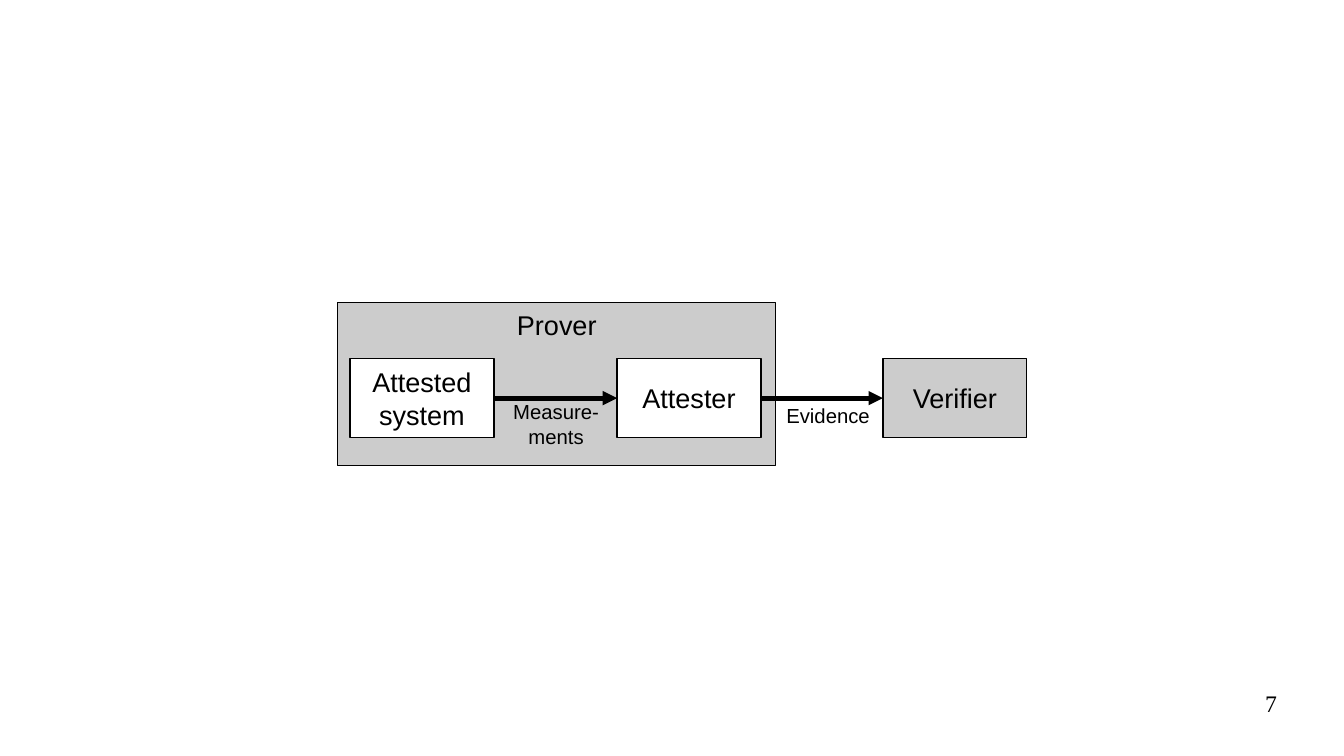
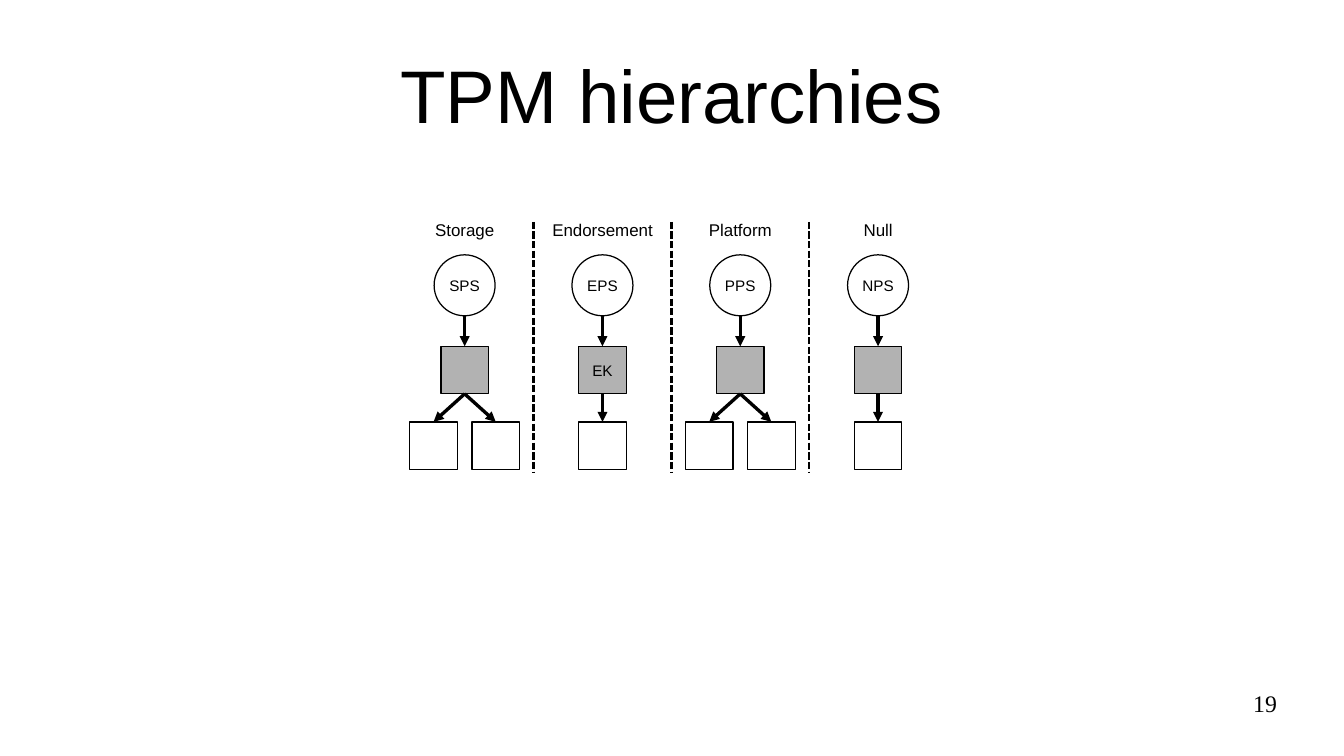
from lxml import etree
from pptx import Presentation
from pptx.dml.color import RGBColor
from pptx.enum import dml, shapes, text
from pptx.oxml import ns
from pptx.util import Inches, Pt

BLACK = RGBColor(0x00, 0x00, 0x00)
WHITE = RGBColor(0xFF, 0xFF, 0xFF)
LIGHT_GREY = RGBColor(0xCC, 0xCC, 0xCC)
KEY_GREY = RGBColor(0xB2, 0xB2, 0xB2)
RECTANGLE = shapes.MSO_SHAPE.RECTANGLE
OVAL = shapes.MSO_SHAPE.OVAL
TOP, LEFT, BOTTOM, RIGHT = range(4)


def add_box(slide, geometry, bounds, lines=(), size=16, fill=None,
            anchor=text.MSO_ANCHOR.MIDDLE, wrap=False):
    """Add an outlined shape, or a plain text box when geometry is None."""
    bounds = [Inches(length) for length in bounds]
    if geometry is None:
        shape = slide.shapes.add_textbox(*bounds)
    else:
        shape = slide.shapes.add_shape(geometry, *bounds)
        shape.shadow.inherit = False
        shape.line.color.rgb = BLACK
        shape.line.width = Pt(0)
        if fill is None:
            shape.fill.background()
        else:
            shape.fill.solid()
            shape.fill.fore_color.rgb = fill
    frame = shape.text_frame
    frame.word_wrap = wrap
    frame.vertical_anchor = anchor
    frame.text = "\n".join(lines)
    for paragraph in frame.paragraphs:
        paragraph.alignment = text.PP_ALIGN.CENTER
        paragraph.font.name = "Arial"
        paragraph.font.size = Pt(size)
        paragraph.font.color.rgb = BLACK
    return shape


def add_line(slide, begin, end, width, arrow=True):
    """Add a straight line from begin to end, each an (x, y) in inches."""
    line = slide.shapes.add_connector(
        shapes.MSO_CONNECTOR.STRAIGHT, *[Inches(length) for length in (*begin, *end)])
    line.line.color.rgb = BLACK
    line.line.width = Pt(width)
    properties = line.element.spPr
    if arrow:
        outline = properties.find(ns.qn("a:ln"))
        etree.SubElement(outline, ns.qn("a:tailEnd"), type="triangle")
    etree.SubElement(properties, ns.qn("a:effectLst"))
    return line


presentation = Presentation()
presentation.slide_width = Inches(11.02)
presentation.slide_height = Inches(6.2)
title_only, blank = presentation.slide_layouts[5], presentation.slide_layouts[6]
attestation = presentation.slides.add_slide(blank)
hierarchies = presentation.slides.add_slide(title_only)

# Attestation flow: the prover holds the attested system and the attester
BOX_TOP, BOX_WIDTH, BOX_HEIGHT = 2.94, 1.18, 0.65
add_box(attestation, RECTANGLE, (2.77, 2.48, 3.59, 1.34), ["Prover"],
        fill=LIGHT_GREY, anchor=text.MSO_ANCHOR.TOP)
actors = []
for left, lines, fill in (
    (2.87, ["Attested", "system"], WHITE),
    (5.06, ["Attester"], WHITE),
    (7.24, ["Verifier"], LIGHT_GREY),
):
    actors.append(add_box(attestation, RECTANGLE, (left, BOX_TOP, BOX_WIDTH, BOX_HEIGHT),
                          lines, fill=fill))
for sender, receiver in zip(actors, actors[1:]):
    arrow = add_line(attestation, (0, 0), (0, 0), 2.83)
    arrow.begin_connect(sender, RIGHT)
    arrow.end_connect(receiver, LEFT)
add_box(attestation, None, (3.99, 3.24, 1.14, 0.47), ["Measure-", "ments"], size=12)
add_box(attestation, None, (6.22, 3.24, 1.14, 0.34), ["Evidence"], size=12)

# Hierarchies title
title = hierarchies.shapes.title
title.left, title.top = Inches(0.55), Inches(0.25)
title.width, title.height = Inches(9.92), Inches(1.04)
frame = title.text_frame
frame.text = "TPM hierarchies"
frame.auto_size = text.MSO_AUTO_SIZE.NONE
frame.vertical_anchor = text.MSO_ANCHOR.MIDDLE
frame.margin_left = frame.margin_right = frame.margin_top = frame.margin_bottom = 0
paragraph = frame.paragraphs[0]
paragraph.alignment = text.PP_ALIGN.CENTER
paragraph.font.name = "Arial"
paragraph.font.size = Pt(44)
paragraph.font.color.rgb = BLACK

# Hierarchy columns: seed, primary key, child keys
FIRST_CENTER, PITCH = 3.81, 1.13
SEED_TOP, SEED_SIZE = 2.09, 0.5
PRIMARY_TOP, CHILD_TOP, KEY_SIZE = 2.84, 3.46, 0.39
CHILD_PITCH = 0.51
columns = (
    ("Storage", "SPS", [], 2),
    ("Endorsement", "EPS", ["EK"], 1),
    ("Platform", "PPS", [], 2),
    ("Null", "NPS", [], 1),
)
for index, (name, seed, key_lines, child_count) in enumerate(columns):
    center = FIRST_CENTER + index * PITCH
    if index:
        edge = center - PITCH / 2
        divider = add_line(hierarchies, (edge, 1.82), (edge, 3.87), 1.42, arrow=False)
        divider.line.dash_style = dml.MSO_LINE.SQUARE_DOT

    add_box(hierarchies, None, (center - 0.51, 1.75, 1.02, 0.25), [name], size=10,
            anchor=text.MSO_ANCHOR.TOP)
    add_box(hierarchies, OVAL, (center - SEED_SIZE / 2, SEED_TOP, SEED_SIZE, SEED_SIZE),
            [seed], size=9)
    primary = add_box(hierarchies, RECTANGLE,
                      (center - KEY_SIZE / 2, PRIMARY_TOP, KEY_SIZE, KEY_SIZE),
                      key_lines, size=9, fill=KEY_GREY)
    seed_arrow = add_line(hierarchies, (center, SEED_TOP + SEED_SIZE),
                          (center, PRIMARY_TOP), 1.98)
    seed_arrow.end_connect(primary, TOP)

    for child_index in range(child_count):
        child_center = center + (child_index - (child_count - 1) / 2) * CHILD_PITCH
        child = add_box(hierarchies, RECTANGLE,
                        (child_center - KEY_SIZE / 2, CHILD_TOP, KEY_SIZE, KEY_SIZE))
        arrow = add_line(hierarchies, (0, 0), (0, 0), 1.98)
        arrow.begin_connect(primary, BOTTOM)
        arrow.end_connect(child, TOP)

# Page numbers
for slide, number in ((attestation, "7"), (hierarchies, "19")):
    box = add_box(slide, None, (7.9, 5.65, 2.57, 0.43), [number], size=14,
                  anchor=text.MSO_ANCHOR.TOP, wrap=True)
    frame = box.text_frame
    frame.margin_left = frame.margin_right = frame.margin_top = frame.margin_bottom = 0
    frame.paragraphs[0].alignment = text.PP_ALIGN.RIGHT
    frame.paragraphs[0].font.name = "Times New Roman"

presentation.save("out.pptx")
